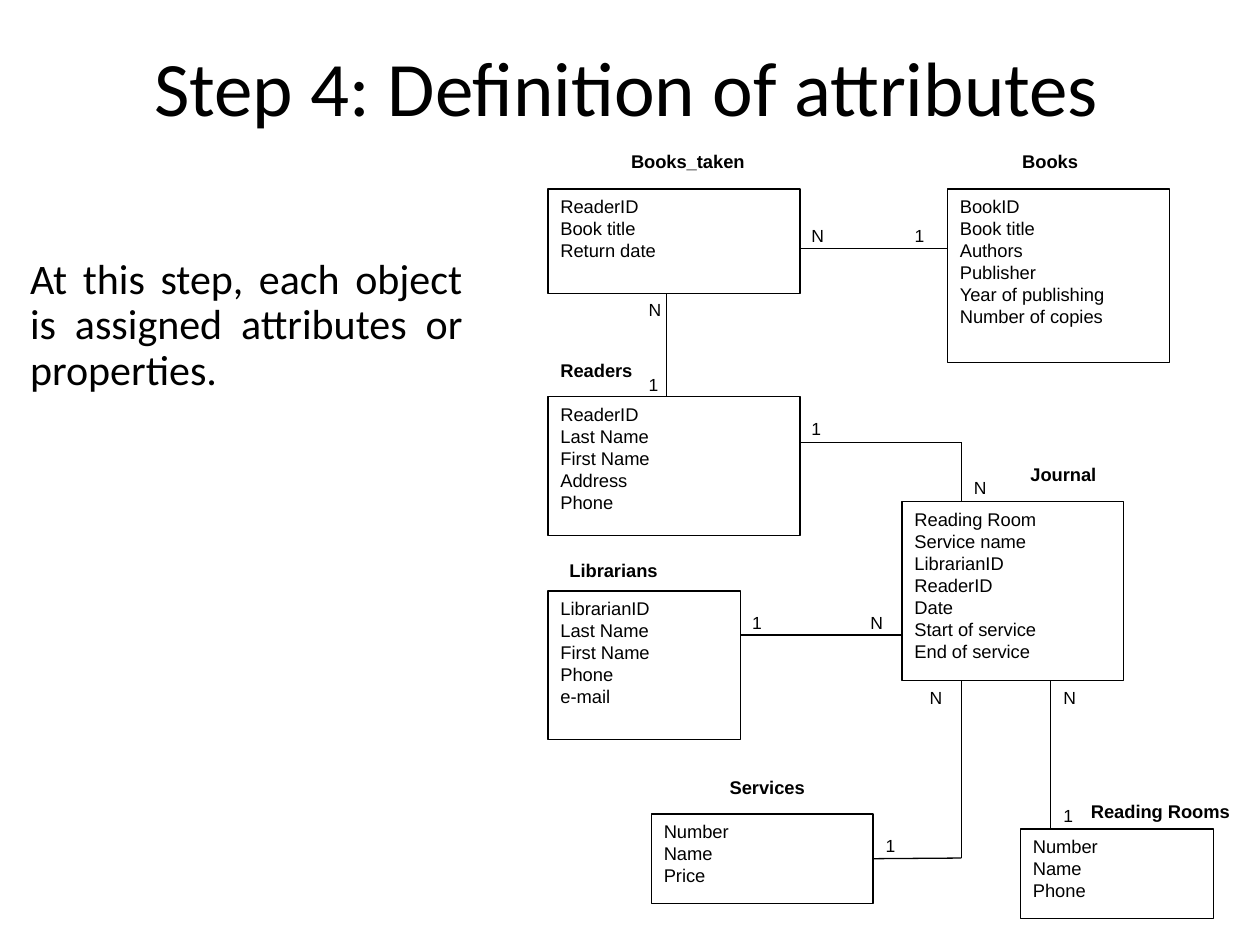
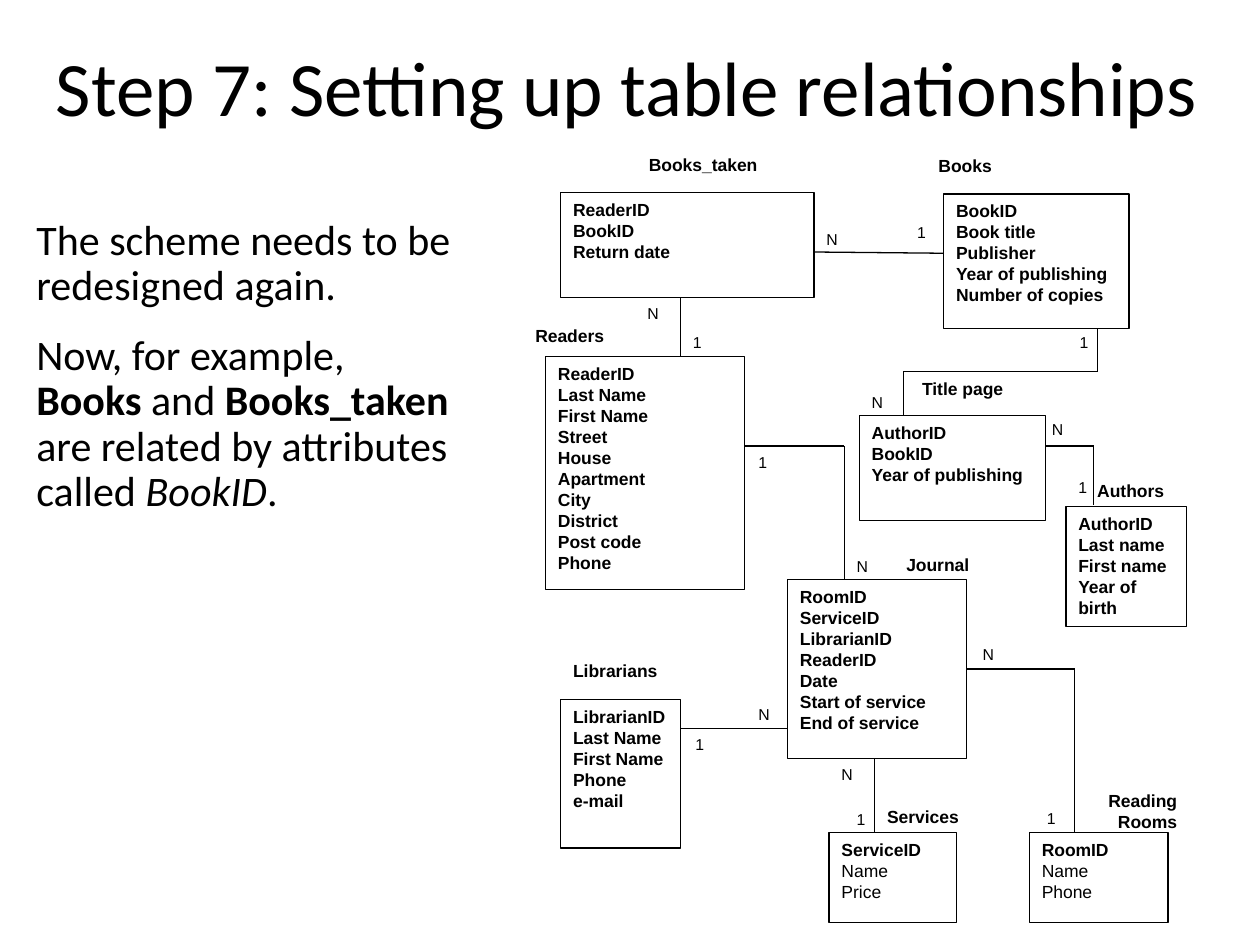
from pptx import Presentation
from pptx.dml.color import RGBColor
from pptx.enum.shapes import MSO_CONNECTOR as LINE, MSO_SHAPE as SHAPE
from pptx.enum.text import MSO_ANCHOR as ANCHOR, PP_ALIGN as ALIGN
from pptx.util import Inches, Pt
from lxml import etree

COLORS = {"ink": "000000", "paper": "FFFFFF"}
HEADING_FONT, DIAGRAM_FONT = "Calibri", "Arial"
A_NS = "http://schemas.openxmlformats.org/drawingml/2006/main"
LEFT, CENTER, RIGHT, JUSTIFY = ALIGN.LEFT, ALIGN.CENTER, ALIGN.RIGHT, ALIGN.JUSTIFY

ATTRIBUTES = {
    "title": "Step 4: Definition of attributes",
    "body": {
        "at": (0.14, 2, 3.63, 5.33),
        "align": JUSTIFY,
        "paragraphs": [
            [("At this step, each object is assigned attributes or properties.", "")],
        ],
    },
    "entity_size": 10.5,
    "mark_size": 10,
    "bold_fields": False,
    "entities": [
        ("Books_taken", (4.58, 1.14, 1.76, 0.41), CENTER, (4.35, 1.5, 2, 0.83),
         ["ReaderID", "Book title", "Return date"]),
        ("Books", (7.75, 1.14, 1.17, 0.41), CENTER, (7.52, 1.5, 1.76, 1.38),
         ["BookID", "Book title", "Authors", "Publisher", "Year of publishing", "Number of copies"]),
        ("Readers", (4.35, 2.8, 1.76, 0.3), LEFT, (4.35, 3.15, 2, 1.1),
         ["ReaderID", "Last Name", "First Name", "Address", "Phone"]),
        ("Journal", (7.16, 3.63, 1.64, 0.41), RIGHT, (7.16, 3.98, 1.76, 1.42),
         ["Reading Room", "Service name", "LibrarianID", "ReaderID", "Date",
          "Start of service", "End of service"]),
        ("Librarians", (3.99, 4.39, 1.76, 0.35), CENTER, (4.35, 4.69, 1.53, 1.18),
         ["LibrarianID", "Last Name", "First Name", "Phone", "e-mail"]),
        ("Services", (5.21, 6.11, 1.76, 0.41), CENTER, (5.17, 6.46, 1.76, 0.71),
         ["Number", "Name", "Price"]),
        ("Reading Rooms", (8.22, 6.3, 1.64, 0.28), RIGHT, (8.1, 6.58, 1.53, 0.71),
         ["Number", "Name", "Phone"]),
    ],
    "relations": [
        [(6.35, 1.97), (7.52, 1.97)],
        [(5.29, 3.15), (5.29, 2.33)],
        [(6.35, 3.51), (7.63, 3.51), (7.63, 3.98)],
        [(5.88, 5.04), (7.16, 5.04)],
        [(6.93, 6.81), (7.63, 6.81), (7.63, 5.4)],
        [(8.34, 5.4), (8.34, 6.58)],
    ],
    "marks": {
        "N": [(6.34, 1.74), (5.05, 2.32), (7.63, 3.74), (6.81, 4.81), (7.28, 5.4), (8.34, 5.4)],
        "1": [(7.16, 1.74), (5.05, 2.92), (6.34, 3.27), (5.87, 4.81), (6.93, 6.58), (8.34, 6.34)],
    },
}

RELATIONSHIPS = {
    "title": "Step 7: Setting up table relationships",
    "body": {
        "at": (0.19, 1.69, 3.52, 5.27),
        "align": LEFT,
        "paragraphs": [
            [("The scheme needs to be redesigned again.", "")],
            [("Now, for example, ", ""), ("Books", "bold"), (" and ", ""), ("Books_taken ", "bold"),
             ("are related by attributes called ", ""), ("BookID", "italic"), (".", "")],
        ],
    },
    "entity_size": 10,
    "mark_size": 9,
    "bold_fields": True,
    "entities": [
        ("Books_taken", (4.81, 1.17, 1.54, 0.41), CENTER, (4.45, 1.53, 2.01, 0.83),
         ["ReaderID", "BookID", "Return date"]),
        ("Books", (7.35, 1.18, 1.2, 0.41), LEFT, (7.49, 1.54, 1.47, 1.07),
         ["BookID", "Book title", "Publisher", "Year of publishing", "Number of copies"]),
        ("Readers", (4.15, 2.53, 1.03, 0.3), LEFT, (4.33, 2.83, 1.58, 1.85),
         ["ReaderID", "Last Name", "First Name", "Street", "House", "Apartment", "City",
          "District", "Post code", "Phone"]),
        ("Title page", (6.86, 2.95, 1.2, 0.35), RIGHT, (6.82, 3.3, 1.48, 0.83),
         ["AuthorID", "BookID", "Year of publishing"]),
        ("Authors", (8.61, 3.76, 0.78, 0.35), LEFT, (8.46, 4.02, 0.96, 0.95),
         ["AuthorID", "Last name", "First name", "Year of birth"]),
        ("Journal", (6.7, 4.35, 1.09, 0.31), RIGHT, (6.25, 4.6, 1.42, 1.42),
         ["RoomID", "ServiceID", "LibrarianID", "ReaderID", "Date",
          "Start of service", "End of service"]),
        ("Librarians", (4.45, 5.19, 0.95, 0.41), LEFT, (4.45, 5.55, 0.95, 1.18),
         ["LibrarianID", "Last Name", "First Name", "Phone", "e-mail"]),
        ("Services", (6.58, 6.35, 1.49, 0.33), CENTER, (6.58, 6.61, 1.01, 0.71),
         ["ServiceID", "Name", "Price"]),
        ("Reading Rooms", (8.53, 6.22, 0.91, 0.35), RIGHT, (8.17, 6.61, 1.1, 0.71),
         ["RoomID", "Name", "Phone"]),
    ],
    "relations": [
        [(6.46, 2), (7.49, 2.01)],
        [(5.4, 2.83), (5.4, 2.36)],
        [(7.17, 3.3), (7.17, 2.95), (8.71, 2.95), (8.71, 2.6)],
        [(8.3, 3.54), (8.68, 3.54), (8.68, 4.01)],
        [(5.91, 3.54), (6.7, 3.54), (6.7, 4.6)],
        [(5.4, 5.78), (6.25, 5.78)],
        [(6.94, 6.61), (6.94, 6.02)],
        [(7.67, 5.31), (8.53, 5.31), (8.53, 6.61)],
    ],
    "marks": {
        "N": [(6.46, 1.77), (5.04, 2.36), (6.82, 3.07), (8.25, 3.28), (6.7, 4.37),
              (7.7, 5.07), (5.92, 5.54), (6.58, 6.02)],
        "1": [(7.18, 1.72), (5.4, 2.59), (8.47, 2.59), (5.92, 3.54), (8.46, 3.74),
              (5.42, 5.78), (6.7, 6.38), (8.21, 6.37)],
    },
}

PLAIN_FIELDS = {"Services": {"Name", "Price"}, "Reading Rooms": {"Name", "Phone"}}


def color(name):
    return RGBColor.from_string(COLORS[name])


def write(frame, paragraphs, font, size, align=LEFT, spacing=None, gap=0, anchor=ANCHOR.TOP):
    frame.word_wrap = True
    frame.vertical_anchor = anchor
    for number, runs in enumerate(paragraphs):
        paragraph = frame.add_paragraph() if number else frame.paragraphs[0]
        paragraph.alignment = align
        if spacing:
            paragraph.line_spacing = spacing
        if number and gap:
            paragraph.space_before = Pt(gap)
        for text, style in runs:
            run = paragraph.add_run()
            run.text = text
            run.font.name, run.font.size = font, Pt(size)
            run.font.bold, run.font.italic = style == "bold", style == "italic"
            run.font.color.rgb = color("ink")


def add_text(slide, at, *args, **options):
    box = slide.shapes.add_textbox(*map(Inches, at))
    write(box.text_frame, *args, **options)


def add_entity(slide, at, fields, size):
    entity = slide.shapes.add_shape(SHAPE.RECTANGLE, *map(Inches, at))
    entity.shadow.inherit = False
    entity.fill.solid()
    entity.fill.fore_color.rgb = color("paper")
    entity.line.color.rgb = color("ink")
    entity.line.width = Pt(0.75)
    write(entity.text_frame, fields, DIAGRAM_FONT, size)
    return entity


def side_at(point, entities):
    for entity, (x, y, w, h) in entities:
        middles = [(x + w / 2, y), (x, y + h / 2), (x + w / 2, y + h), (x + w, y + h / 2)]
        for side, (mx, my) in enumerate(middles):
            if abs(mx - point[0]) < 0.01 and abs(my - point[1]) < 0.01:
                return entity, side
    return None


def add_relation(slide, points, entities):
    for start, end in zip(points, points[1:]):
        link = slide.shapes.add_connector(LINE.STRAIGHT, *map(Inches, start + end))
        link.line.color.rgb = color("ink")
        link.line.width = Pt(0.75)
        etree.SubElement(link._element.spPr, f"{{{A_NS}}}effectLst")
        for point, join in ((start, link.begin_connect), (end, link.end_connect)):
            found = side_at(point, entities)
            if found:
                join(*found)


def add_step(deck, step):
    slide = deck.slides.add_slide(deck.slide_layouts[6])
    add_text(slide, (0.14, 0, 9.67, 1.45), [[(step["title"], "")]], HEADING_FONT, 44,
             align=CENTER, spacing=0.9, anchor=ANCHOR.MIDDLE)
    body = step["body"]
    add_text(slide, body["at"], body["paragraphs"], HEADING_FONT, 24,
             align=body["align"], spacing=0.9, gap=14)

    size = step["entity_size"]
    entities = []
    for name, _, _, at, fields in step["entities"]:
        plain = PLAIN_FIELDS.get(name, set()) if step["bold_fields"] else set(fields)
        lines = [[(field, "" if field in plain else "bold")] for field in fields]
        entities.append((add_entity(slide, at, lines, size), at))
    for points in step["relations"]:
        add_relation(slide, points, entities)
    for name, at, align, _, _ in step["entities"]:
        add_text(slide, at, [[(name, "bold")]], DIAGRAM_FONT, size, align=align)
    for mark, places in step["marks"].items():
        for place in places:
            add_text(slide, place + (0.35, 0.28), [[(mark, "")]], DIAGRAM_FONT, step["mark_size"])


def main():
    deck = Presentation()
    deck.slide_width, deck.slide_height = Inches(10), Inches(7.5)
    for step in (ATTRIBUTES, RELATIONSHIPS):
        add_step(deck, step)
    deck.save("out.pptx")


if __name__ == "__main__":
    main()
